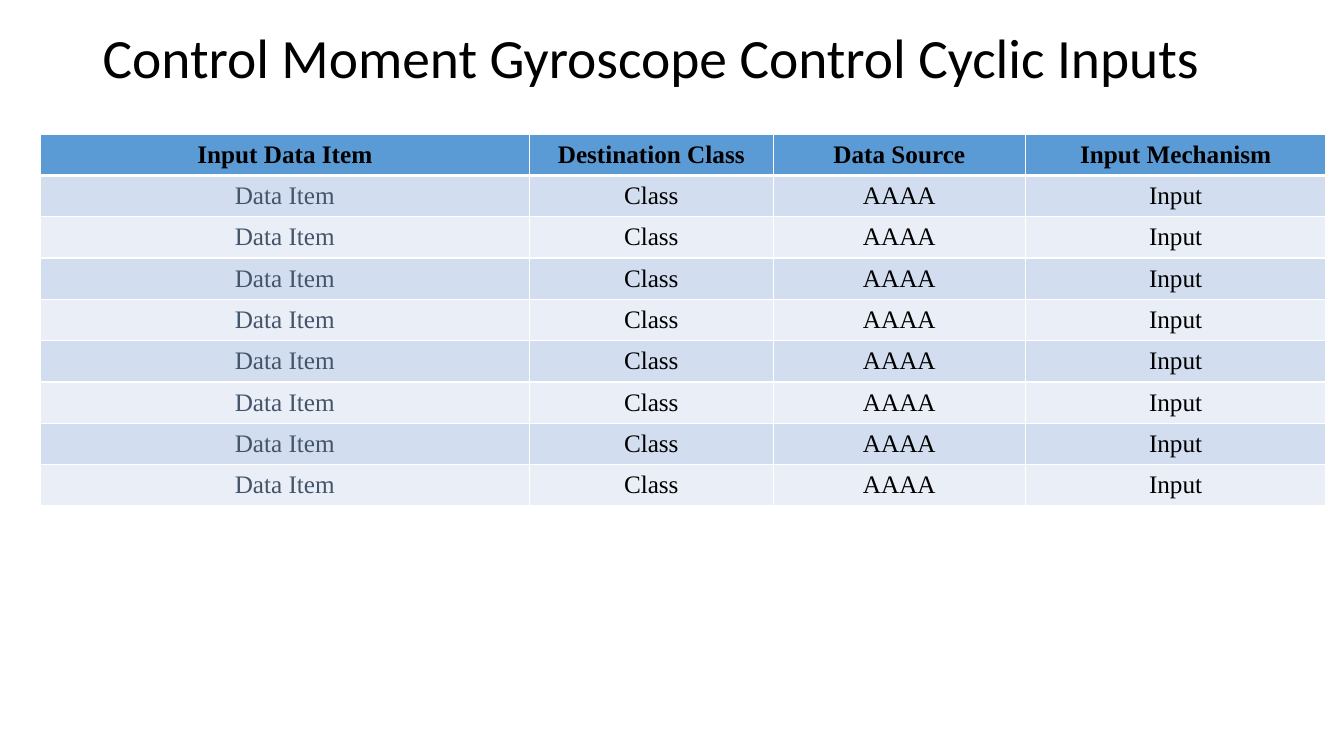
"""Build the slide with a title and a table of cyclic inputs."""
from lxml import etree
from pptx import Presentation
from pptx import util as u
from pptx.dml.color import RGBColor
from pptx.enum import text
from pptx.oxml import ns

TITLE = "Control Moment Gyroscope Control Cyclic Inputs"
HEAD = ["Input Data Item", "Destination Class", "Data Source", "Input Mechanism"]
ROWS = [HEAD] + [["Data Item", "Class", "AAAA", "Input"]] * 8
WIDTHS = [4.85, 2.42, 2.5, 2.98]
HEIGHT = 0.41

BLACK = RGBColor(0x00, 0x00, 0x00)
SLATE = RGBColor(0x44, 0x54, 0x6A)
WHITE = RGBColor(0xFF, 0xFF, 0xFF)
BLUE = RGBColor(0x5B, 0x9B, 0xD5)
BANDS = [RGBColor(0xEA, 0xEF, 0xF7), RGBColor(0xD2, 0xDE, 0xEF)]


def style(para, font, size, color, bold=False):
    for run in para.runs:
        run.font.name = font
        run.font.size = u.Pt(size)
        run.font.color.rgb = color
        run.font.bold = bold


def add(parent, tag, **attrs):
    return etree.SubElement(parent, ns.qn(tag), **attrs)


def edge(cell, row):
    props = cell._tc.get_or_add_tcPr()
    thick = {0: "B", 1: "T"}.get(row)
    for side in "LRTB":
        width = u.Pt(3 if side == thick else 1)
        line = add(props, f"a:ln{side}", w=str(width))
        add(add(line, "a:solidFill"), "a:srgbClr", val=str(WHITE))


def space(para):
    props = para._p.get_or_add_pPr()
    for tag in ("a:spcBef", "a:spcAft"):
        add(add(props, tag), "a:spcPct", val="20000")


def fill_cell(cell, words, row, col):
    edge(cell, row)
    cell.fill.solid()
    cell.fill.fore_color.rgb = BANDS[row % 2] if row else BLUE
    cell.vertical_anchor = text.MSO_ANCHOR.MIDDLE
    cell.text_frame.text = words
    para = cell.text_frame.paragraphs[0]
    para.alignment = text.PP_ALIGN.CENTER
    space(para)
    color = SLATE if row and col == 0 else BLACK
    style(para, "Times New Roman", 18, color, row == 0)


def add_title(slide):
    box = slide.shapes.add_textbox(
        u.Inches(0.92), u.Inches(0.07), u.Inches(11.5), u.Inches(1.07))
    frame = box.text_frame
    frame.word_wrap = True
    frame.vertical_anchor = text.MSO_ANCHOR.MIDDLE
    frame.text = TITLE
    para = frame.paragraphs[0]
    para.line_spacing = 0.9
    style(para, "Calibri", 39.6, BLACK)


def add_inputs(slide):
    table = slide.shapes.add_table(
        len(ROWS), len(HEAD), u.Inches(0.4), u.Inches(1.33),
        u.Inches(sum(WIDTHS)), u.Inches(HEIGHT * len(ROWS))).table
    for column, width in zip(table.columns, WIDTHS):
        column.width = u.Inches(width)
    for row, items in enumerate(ROWS):
        table.rows[row].height = u.Inches(HEIGHT)
        for col, words in enumerate(items):
            fill_cell(table.cell(row, col), words, row, col)


def main():
    deck = Presentation()
    deck.slide_width = u.Inches(13.33)
    deck.slide_height = u.Inches(7.5)
    slide = deck.slides.add_slide(deck.slide_layouts[6])
    add_title(slide)
    add_inputs(slide)
    deck.save("out.pptx")


if __name__ == "__main__":
    main()
